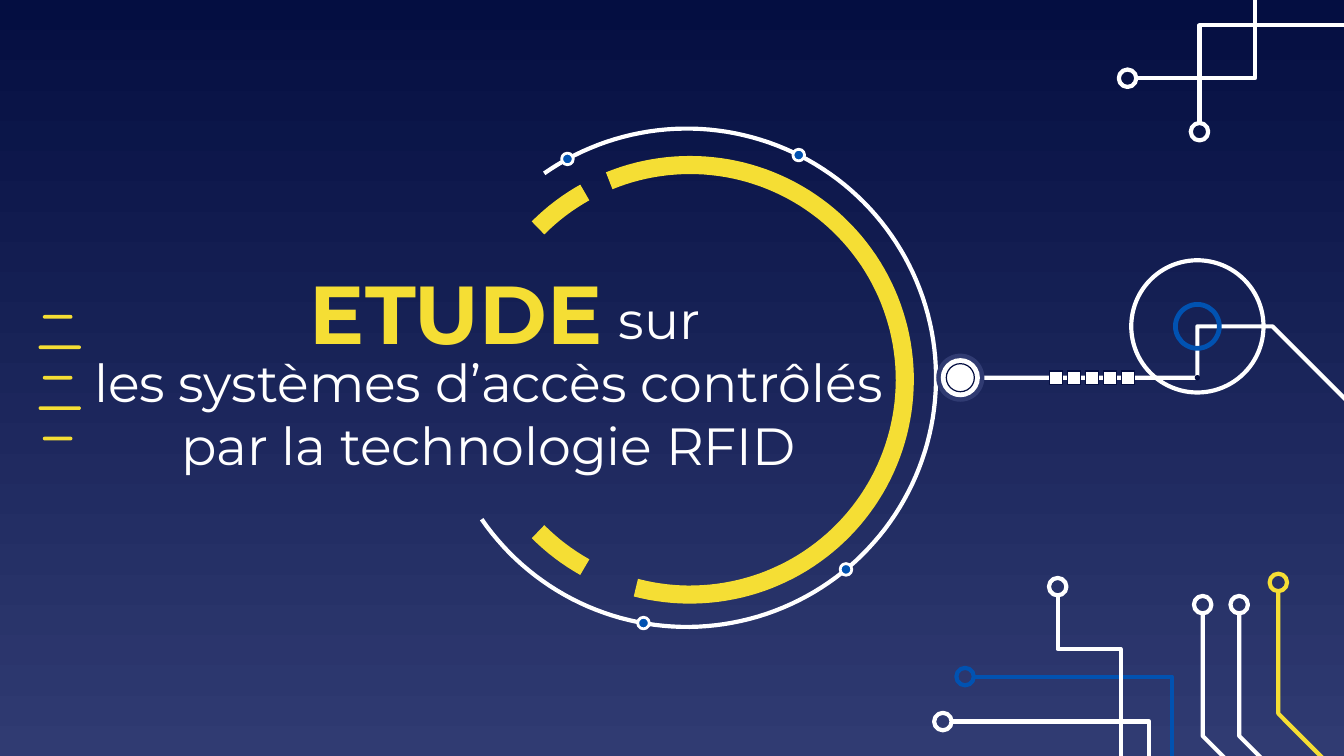
from math import cos, hypot, radians, sin

from pptx import Presentation
from pptx.dml.color import RGBColor
from pptx.enum.shapes import MSO_SHAPE as Kind
from pptx.enum.text import MSO_ANCHOR as Anchor, MSO_AUTO_SIZE as Fit, PP_ALIGN as Align
from pptx.util import Cm, Pt

WHITE, YELLOW, BLUE = "FFFFFF", "F5DE34", "0152B1"
NAVY, SLATE = "040E41", "303B72"
NODE = 0.33  # diameter of the ring at the end of a trace


def rgb(code):
    return RGBColor.from_string(code)


def paint(shape, fill=None, line=None, width=2.25):
    shape.shadow.inherit = False
    if fill:
        shape.fill.solid()
        shape.fill.fore_color.rgb = rgb(fill)
    else:
        shape.fill.background()
    if line:
        shape.line.color.rgb = rgb(line)
        shape.line.width = Pt(width)
    else:
        shape.line.fill.background()
    return shape


def center(slide, kind, x, y, w, h=None, **look):
    """Add a preset shape centred on x, y."""
    h = h or w
    shape = slide.shapes.add_shape(kind, Cm(x - w / 2), Cm(y - h / 2), Cm(w), Cm(h))
    return paint(shape, **look)


def path(slide, points, color, width=2.25):
    spots = [(Cm(x), Cm(y)) for x, y in points]
    pen = slide.shapes.build_freeform(*spots[0])
    pen.add_line_segments(spots[1:], close=False)
    paint(pen.convert_to_shape(), line=color, width=width)


def polar(x, y, r, turn):
    return x + r * cos(radians(turn)), y + r * sin(radians(turn))


def arc(slide, x, y, r, start, end, color, width=2.25):
    """Draw a clockwise arc; angles in degrees from the right."""
    sweep = (end - start) % 360
    count = max(8, round(sweep / 2))
    path(slide, [polar(x, y, r, start + sweep * i / count) for i in range(count + 1)],
         color, width)


def trace(slide, x, y, points, color=WHITE):
    """Draw a ring on the first point and a line from its rim."""
    (ax, ay), (bx, by) = points[:2]
    part = NODE / 2 / hypot(bx - ax, by - ay)
    rim = (ax + (bx - ax) * part, ay + (by - ay) * part)
    path(slide, [(x + px, y + py) for px, py in [rim, *points[1:]]], color)
    center(slide, Kind.OVAL, x + ax, y + ay, NODE, line=color)


def write(para, text, size, color, bold=False, indent=0):
    para.alignment = Align.CENTER
    para.space_before = Pt(0)
    if indent:
        props = para._p.get_or_add_pPr()
        props.set("marL", str(Cm(indent)))
        props.set("indent", "0")
    run = para.add_run()
    run.text = text
    run.font.name, run.font.size, run.font.bold = "Montserrat", Pt(size), bold
    run.font.color.rgb = rgb(color)


def place(holder, x, y, w, h):
    holder.left, holder.top, holder.width, holder.height = Cm(x), Cm(y), Cm(w), Cm(h)
    frame = holder.text_frame
    frame.word_wrap, frame.auto_size = True, Fit.NONE
    frame.vertical_anchor = Anchor.MIDDLE
    frame.margin_left = frame.margin_right = Cm(0.25)
    frame.margin_top = frame.margin_bottom = Cm(0.25)
    return frame


def ticks(slide, x, y, w, h):
    for i in range(5):
        size, shift = (w, 0) if i % 2 else (0.7 * w, -0.04)
        bar = center(slide, Kind.ROUNDED_RECTANGLE, x + w / 2 + shift, y + i * h / 4,
                     size, 0.07, fill=YELLOW)
        bar.adjustments[0] = 0.5


def gauge(slide, x, y, size):
    r = size / 2
    cx, cy = x + r, y + r
    # Yellow band in three pieces
    for start, end in ((119.3, 135), (247.9, 104.6), (225, 240.7)):
        arc(slide, cx + 0.06, cy + 0.04, 4.06, start, end, YELLOW, 9.69)
    # Thin outer arc with its dots
    arc(slide, cx, cy, r, 235.1, 145.4, WHITE)
    for turn in (296.7, 241.4, 50.3, 100):
        center(slide, Kind.OVAL, *polar(cx, cy, r, turn), 0.22,
               fill=BLUE, line=WHITE, width=1.5)


def wire(slide, x, y):
    hub, low = 4.95, 2.39
    bends = [(8.08, 3.13), (6.37, 1.42), (hub, 1.42), (hub, low), (0.68, low)]
    path(slide, [(x + px, y + py) for px, py in bends], WHITE)
    center(slide, Kind.OVAL, x + hub, y + low, 0.1, fill=NAVY)
    # Target
    center(slide, Kind.OVAL, x + hub, y + 1.42, 2.5, line=WHITE)
    center(slide, Kind.OVAL, x + hub, y + 1.42, 0.83, line=BLUE, width=2.57)
    # Knob
    center(slide, Kind.OVAL, x + 0.47, y + low, 0.91, fill=SLATE)
    center(slide, Kind.OVAL, x + 0.47, y + low, 0.74, fill=WHITE)
    center(slide, Kind.OVAL, x + 0.47, y + low, 0.53, fill=WHITE, line=NAVY, width=0.66)
    # Row of squares
    for i in range(5):
        center(slide, Kind.RECTANGLE, x + 2.28 + i * 0.34, y + low, 0.25,
               fill=WHITE, line=NAVY, width=0.66)


def upper(slide, x, y):
    trace(slide, x, y, [(0.15, 1.48), (2.56, 1.48), (2.56, -1.32)])
    trace(slide, x, y, [(1.51, 2.49), (1.51, 0.48), (4.52, 0.48)])


def lower(slide, x, y):
    trace(slide, x, y, [(0.56, 1.92), (4.47, 1.92), (4.47, 4.98)], BLUE)
    # Traces that end in a slant
    for left, top, color in ((5.05, 0.56, WHITE), (5.74, 0.56, WHITE), (6.48, 0.14, YELLOW)):
        trace(slide, x, y, [(left, top), (left, top + 2.48), (left + 1.12, top + 3.6)], color)
    trace(slide, x, y, [(0.14, 2.77), (4.04, 2.77), (4.04, 5.82)])
    trace(slide, x, y, [(2.31, 0.22), (2.31, 1.4), (3.5, 1.4), (3.5, 4.22)])


def heading(slide, x, y, w, h):
    title, sub = slide.placeholders
    frame = place(sub, x, y, w, h)
    write(frame.paragraphs[0], "sur", 28, WHITE, indent=6.46)
    write(frame.add_paragraph(), "les systèmes d’accès contrôlés par la technologie RFID",
          28, WHITE)
    frame = place(title, x + 2.02, y - 0.42, 11.13, 2.31)
    write(frame.paragraphs[0], "ETUDE", 44, YELLOW, bold=True)


def main():
    deck = Presentation()
    deck.slide_width, deck.slide_height = Cm(25.4), Cm(14.29)
    slide = deck.slides.add_slide(deck.slide_layouts[0])

    # Background
    back = slide.background.fill
    back.gradient()
    back.gradient_angle = 270
    for stop, color in zip(back.gradient_stops, (NAVY, SLATE)):
        stop.color.rgb = rgb(color)

    ticks(slide, 0.73, 5.99, 0.8, 2.3)
    upper(slide, 21.16, 0)
    lower(slide, 17.68, 10.87)
    gauge(slide, 8.27, 2.43, 9.42)
    wire(slide, 17.68, 4.75)
    heading(slide, 1.04, 5.16, 16.38, 4.11)
    deck.save("out.pptx")


if __name__ == "__main__":
    main()
